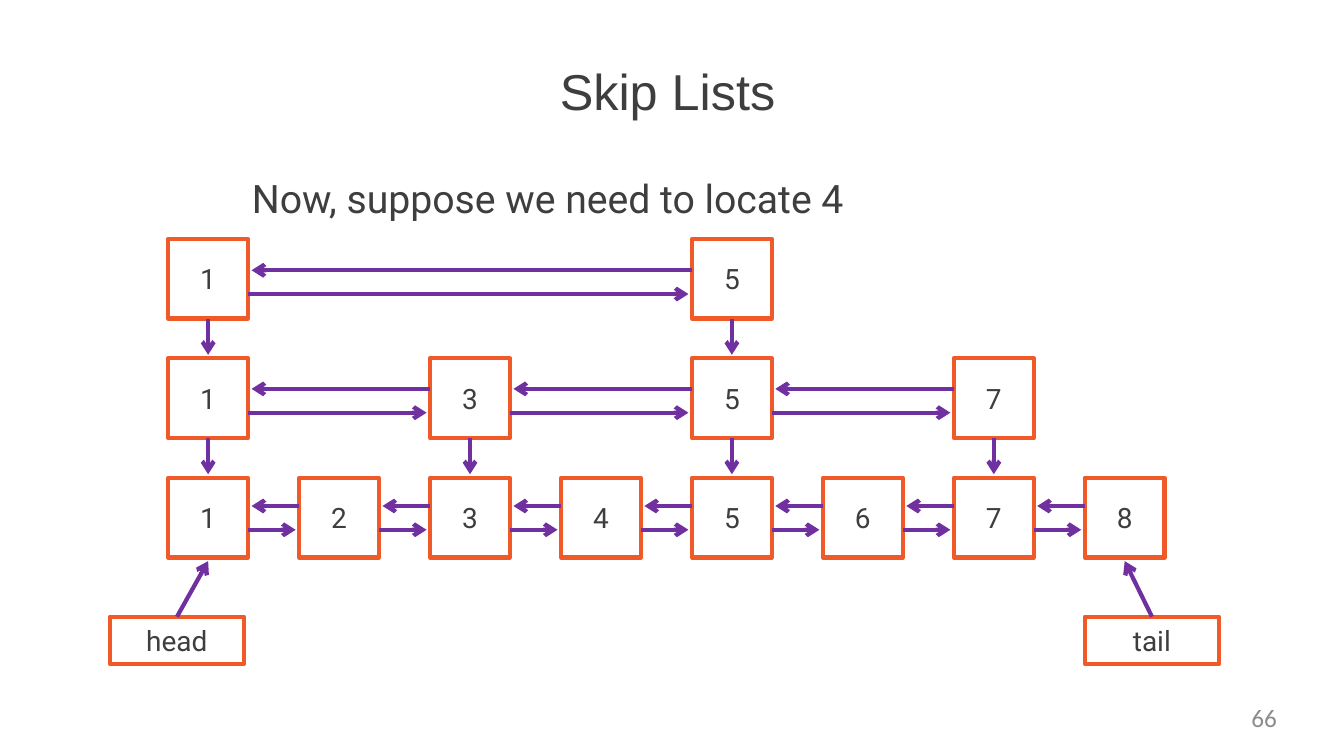
from dataclasses import dataclass

import pptx
import pptx.dml.color
import pptx.enum.shapes
import pptx.enum.text
import pptx.oxml.ns
import pptx.util
from lxml import etree
from pptx.util import Cm

ORANGE, PURPLE, DARK, GREY = "F05A28", "7030A0", "3E3E3E", "8C8C8C"
ALIGN = pptx.enum.text.PP_ALIGN
ANCHOR = pptx.enum.text.MSO_ANCHOR

# Grid of the skip list, in centimetres
GRID_LEFT, GRID_TOP = 4.24, 6.02
COLUMN_STEP, LEVEL_STEP = 3.3, 3.01
NODE = 2.01
LANE_GAP = 0.6
TIP_GAP = 0.09
LABEL_TOP, LABEL_WIDTH, LABEL_HEIGHT = 15.54, 3.38, 1.19


@dataclass
class Level:
    keys: list[int]
    back_lane: float  # distance from node top to the backward arrow


@dataclass
class Label:
    text: str
    left: float
    key: int


LEVELS = [
    Level([1, 5], 0.79),
    Level([1, 3, 5, 7], 0.77),
    Level(list(range(1, 9)), 0.71),
]


def node_left(key: int) -> float:
    return GRID_LEFT + (key - 1) * COLUMN_STEP


LABELS = [Label("head", 2.77, 1), Label("tail", node_left(8), 8)]


def color(value: str) -> pptx.dml.color.RGBColor:
    return pptx.dml.color.RGBColor.from_string(value)


def write(box, text: str, *, size: float = 20, font: str = "Roboto",
          fill: str = DARK, align=ALIGN.CENTER, anchor=ANCHOR.MIDDLE) -> None:
    frame = box.text_frame
    frame.word_wrap = True
    frame.auto_size = pptx.enum.text.MSO_AUTO_SIZE.NONE
    frame.vertical_anchor = anchor
    frame.margin_left = frame.margin_right = 0
    frame.margin_top = frame.margin_bottom = 0
    para = frame.paragraphs[0]
    para.alignment = align
    para.space_before = pptx.util.Pt(0)
    span = para.add_run()
    span.text = text
    span.font.size = pptx.util.Pt(size)
    span.font.name = font
    span.font.color.rgb = color(fill)


def place(box, left: float, top: float, width: float, height: float) -> None:
    box.left, box.top = Cm(left), Cm(top)
    box.width, box.height = Cm(width), Cm(height)


def add_box(page, text: str, left: float, top: float,
            width: float, height: float) -> None:
    box = page.shapes.add_shape(pptx.enum.shapes.MSO_SHAPE.RECTANGLE,
                                Cm(left), Cm(top), Cm(width), Cm(height))
    box.shadow.inherit = False
    box.fill.background()
    box.line.color.rgb = color(ORANGE)
    box.line.width = pptx.util.Pt(3)
    write(box, text)


def add_arrow(page, x1: float, y1: float, x2: float, y2: float) -> None:
    arrow = page.shapes.add_connector(
        pptx.enum.shapes.MSO_CONNECTOR.STRAIGHT,
        Cm(x1), Cm(y1), Cm(x2), Cm(y2))
    arrow.line.color.rgb = color(PURPLE)
    arrow.line.width = pptx.util.Pt(3)
    name = pptx.oxml.ns.qn
    etree.SubElement(arrow.line._get_or_add_ln(), name("a:tailEnd"),
                     type="arrow", w="med", len="med")
    etree.SubElement(arrow._element.spPr, name("a:effectLst"))


deck = pptx.Presentation()
deck.slide_width, deck.slide_height = Cm(33.87), Cm(19.05)
page = deck.slides.add_slide(deck.slide_layouts[1])

# Title and sentence
title, body = page.placeholders
place(title, 14.07, 1.45, 5.51, 1.6)
write(title, "Skip Lists", size=36, font="Arial", anchor=ANCHOR.BOTTOM)
place(body, 6.35, 4.34, 15.2, 1.27)
write(body, "Now, suppose we need to locate 4", size=28, align=ALIGN.LEFT)
properties = body.text_frame.paragraphs[0]._p.get_or_add_pPr()
properties.set("marL", "0")
properties.set("indent", "0")
etree.SubElement(properties, pptx.oxml.ns.qn("a:buNone"))

# Levels: nodes, links both ways, links down
for index, level in enumerate(LEVELS):
    top = GRID_TOP + index * LEVEL_STEP
    for key in level.keys:
        add_box(page, str(key), node_left(key), top, NODE, NODE)
        if index < len(LEVELS) - 1:
            center = node_left(key) + NODE / 2
            add_arrow(page, center, top + NODE,
                      center, top + LEVEL_STEP - TIP_GAP)
    for key, following in zip(level.keys, level.keys[1:]):
        start, end = node_left(key) + NODE, node_left(following)
        back = top + level.back_lane
        add_arrow(page, end, back, start + TIP_GAP, back)
        add_arrow(page, start, back + LANE_GAP, end - TIP_GAP, back + LANE_GAP)

# Head and tail pointers
bottom = GRID_TOP + (len(LEVELS) - 1) * LEVEL_STEP + NODE
for label in LABELS:
    add_box(page, label.text, label.left, LABEL_TOP, LABEL_WIDTH, LABEL_HEIGHT)
    add_arrow(page, label.left + LABEL_WIDTH / 2, LABEL_TOP,
              node_left(label.key) + NODE / 2, bottom + TIP_GAP)

# Page number
number = page.shapes.add_textbox(Cm(24.38), Cm(17.7), Cm(7.8), Cm(0.97))
write(number, "66", size=18, font="Calibri", fill=GREY,
      align=ALIGN.RIGHT, anchor=ANCHOR.TOP)

deck.save("out.pptx")
